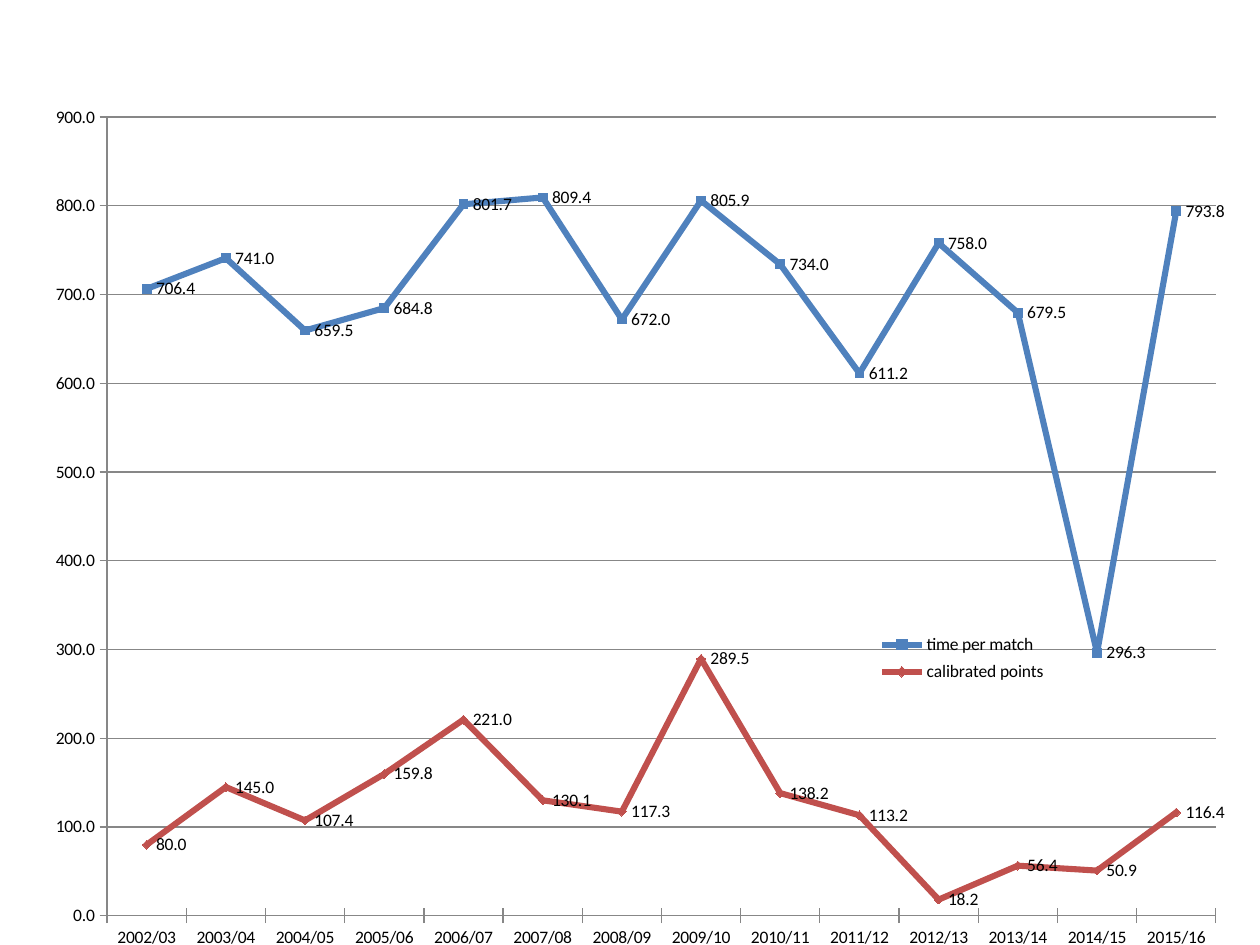
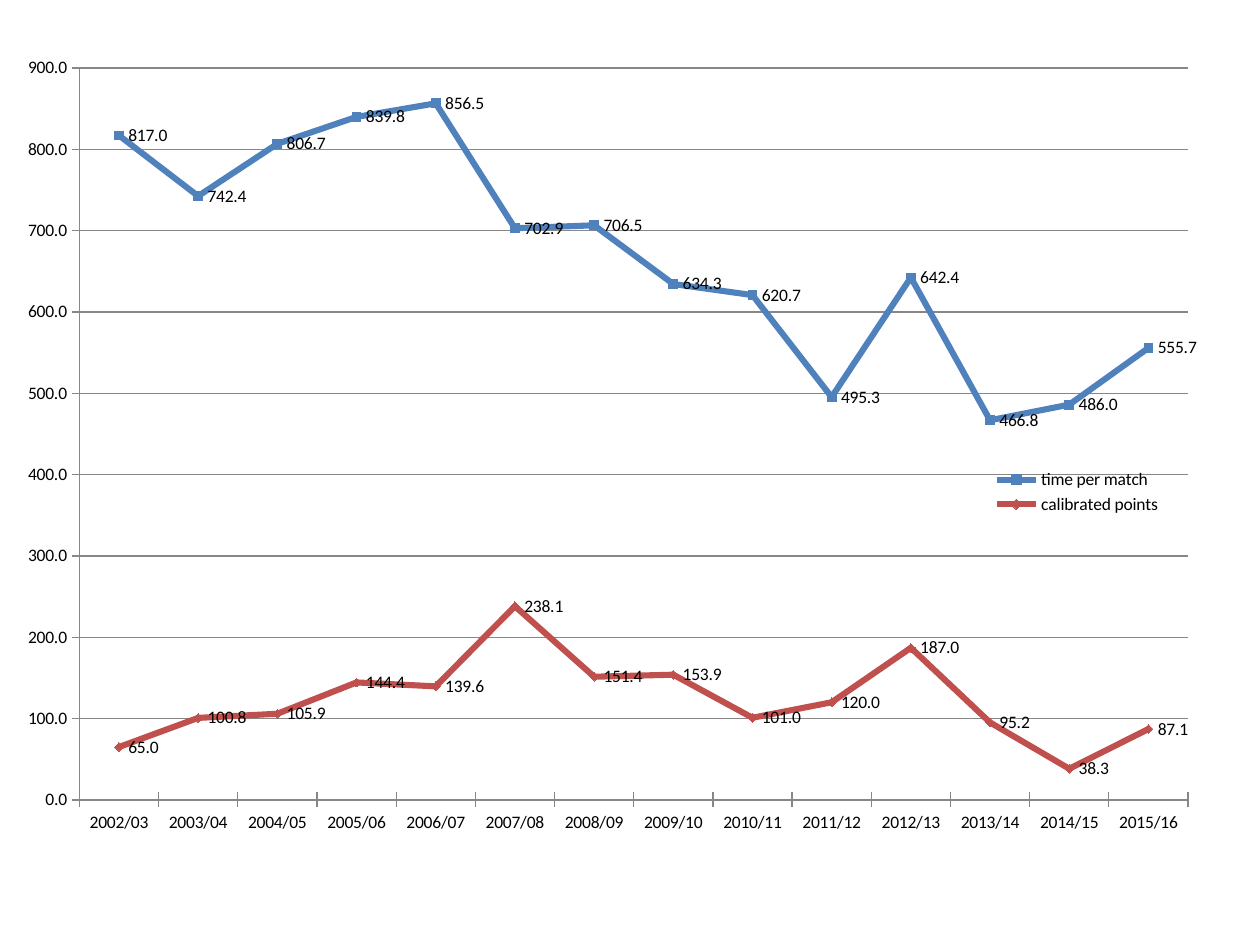
import pptx
import pptx.chart.data
import pptx.dml.color
import pptx.enum.chart
import pptx.util
from pptx.util import Inches
from lxml import etree

enums = pptx.enum.chart

# Content: boxes are left, top, width, height in inches on the slide
SEASONS = [f"{year}/{(year + 1) % 100:02d}" for year in range(2002, 2016)]
CHARTS = [
    {
        "frame": (0.17, 0.83, 10.74, 6.78),
        "plot": (0.85, 0.93, 8.8, 6.34),
        "legend": (6.94, 4.98, 1.4, 0.49),
        "time per match": [706.4, 741, 659.5, 684.8, 801.7, 809.4, 672,
                           805.9, 734, 611.2, 758, 679.5, 296.3, 793.8],
        "calibrated points": [80, 145, 107.4, 159.8, 221, 130.1, 117.3,
                              289.5, 138.2, 113.2, 18.2, 56.4, 50.9, 116.4],
    },
    {
        "frame": (0, 0.33, 11.11, 6.4),
        "plot": (0.63, 0.54, 8.8, 5.81),
        "legend": (7.85, 3.69, 1.4, 0.43),
        "time per match": [817, 742.4, 806.7, 839.8, 856.5, 702.9, 706.5,
                           634.3, 620.7, 495.3, 642.4, 466.8, 486, 555.7],
        "calibrated points": [65, 100.8, 105.9, 144.4, 139.6, 238.1, 151.4,
                              153.9, 101, 120, 187, 95.2, 38.3, 87.1],
    },
]

# Shared look
COLORS = {"time": "4F81BD", "points": "C0504D", "axis": "878787", "text": "000000"}
SERIES_STYLES = {
    "time per match": ("time", enums.XL_MARKER_STYLE.SQUARE),
    "calibrated points": ("points", enums.XL_MARKER_STYLE.DIAMOND),
}
NUMBER_FORMAT = "0.0"
FONT = {"name": "Calibri", "size": pptx.util.Pt(10)}
VALUE_AXIS = {"minimum_scale": 0, "maximum_scale": 900, "major_unit": 100,
              "has_major_gridlines": True}
LABELS = {"show_value": True, "number_format": NUMBER_FORMAT,
          "number_format_is_linked": False,
          "position": enums.XL_LABEL_POSITION.RIGHT}
LEGEND = {"position": enums.XL_LEGEND_POSITION.RIGHT, "include_in_layout": True}


def set_all(target, values):
    for name, value in values.items():
        setattr(target, name, value)


def rgb(name):
    return pptx.dml.color.RGBColor.from_string(COLORS[name])


def style_line(line, color, width):
    line.color.rgb = rgb(color)
    line.width = pptx.util.Pt(width)


def place(element, box, frame, before, inner=False):
    """Give a chart part a manual layout, as fractions of the chart frame."""
    namespace = etree.QName(element).namespace
    for old in element.findall(f"{{{namespace}}}layout"):
        element.remove(old)
    layout = etree.Element(f"{{{namespace}}}layout")
    manual = etree.SubElement(layout, f"{{{namespace}}}manualLayout")
    fractions = ((box[0] - frame[0]) / frame[2], (box[1] - frame[1]) / frame[3],
                 box[2] / frame[2], box[3] / frame[3])
    settings = [("layoutTarget", "inner")] if inner else []
    settings += [("xMode", "edge"), ("yMode", "edge")]
    settings += [(key, f"{part:.4f}") for key, part in zip("xywh", fractions)]
    for tag, value in settings:
        etree.SubElement(manual, f"{{{namespace}}}{tag}", val=value)
    element.find(f"{{{namespace}}}{before}").addprevious(layout)


def add_line_chart(slide, content):
    frame = content["frame"]
    data = pptx.chart.data.CategoryChartData(number_format=NUMBER_FORMAT)
    data.categories = SEASONS
    for name in SERIES_STYLES:
        data.add_series(name, content[name])
    chart = slide.shapes.add_chart(enums.XL_CHART_TYPE.LINE_MARKERS,
                                   *map(Inches, frame), data).chart
    set_all(chart, {"has_title": False, "has_legend": True})
    set_all(chart.font, FONT)
    chart.font.color.rgb = rgb("text")

    # Axes and gridlines
    set_all(chart.value_axis, VALUE_AXIS)
    set_all(chart.value_axis.tick_labels, {"number_format": NUMBER_FORMAT,
                                           "number_format_is_linked": False})
    style_line(chart.value_axis.major_gridlines.format.line, "axis", 0.75)
    for axis in (chart.category_axis, chart.value_axis):
        axis.major_tick_mark = enums.XL_TICK_MARK.CROSS
        style_line(axis.format.line, "axis", 0.75)

    # Lines, markers and value labels
    plot = chart.plots[0]
    plot.vary_by_categories = False
    for series in plot.series:
        color, marker = SERIES_STYLES[series.name]
        series.smooth = False
        style_line(series.format.line, color, 3.5)
        set_all(series.marker, {"style": marker, "size": 5})
        series.marker.format.fill.solid()
        series.marker.format.fill.fore_color.rgb = rgb(color)
        style_line(series.marker.format.line, color, 0.75)
        set_all(series.data_labels, LABELS)

    # Plot area and legend places
    set_all(chart.legend, LEGEND)
    chart_xml = chart.element.chart
    place(chart_xml.plotArea, content["plot"], frame, "lineChart", inner=True)
    place(chart_xml.find("{*}legend"), content["legend"], frame, "overlay")


presentation = pptx.Presentation()
set_all(presentation, {"slide_width": Inches(10), "slide_height": Inches(7.5)})
for content in CHARTS:
    add_line_chart(presentation.slides.add_slide(presentation.slide_layouts[6]), content)
presentation.save("out.pptx")
